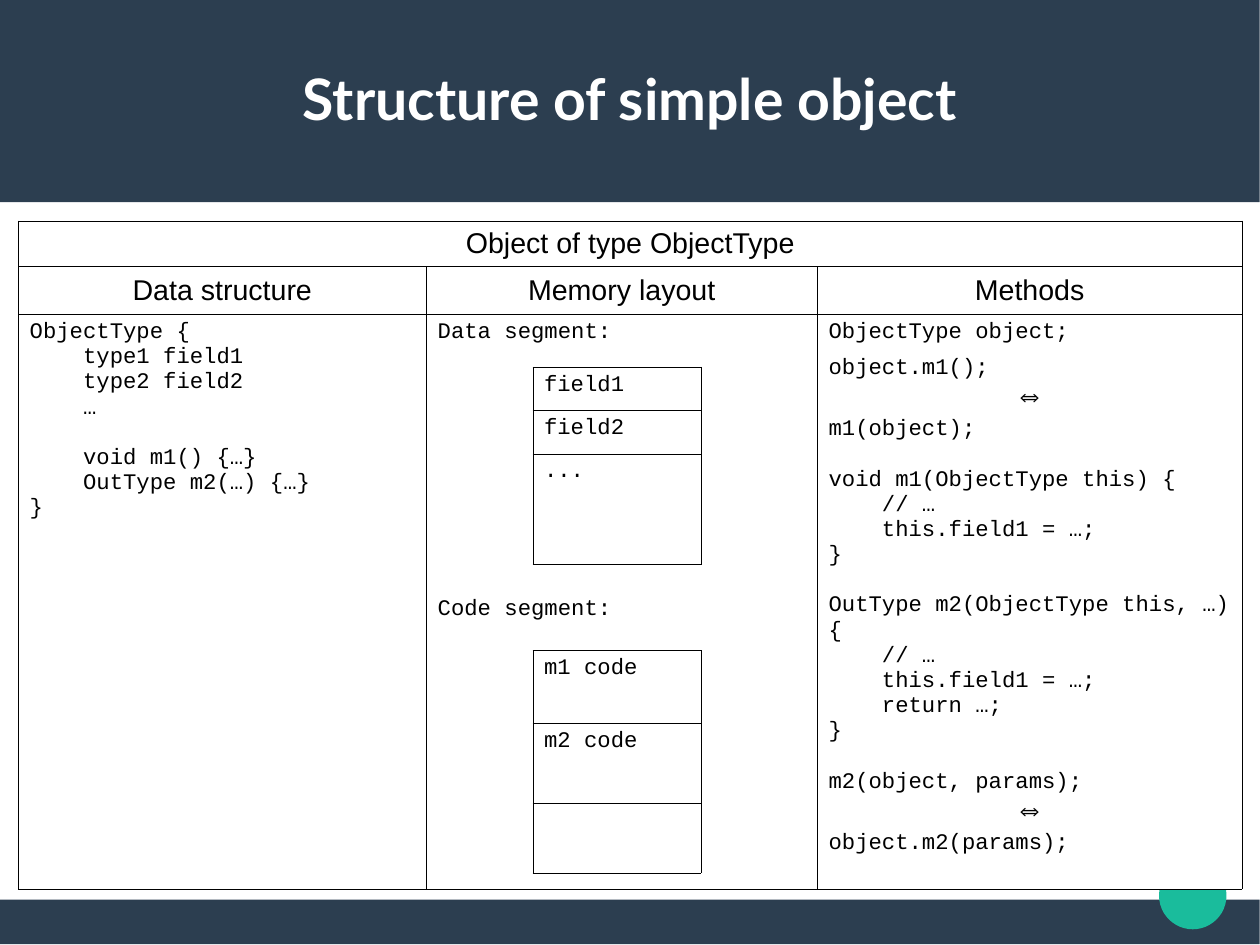
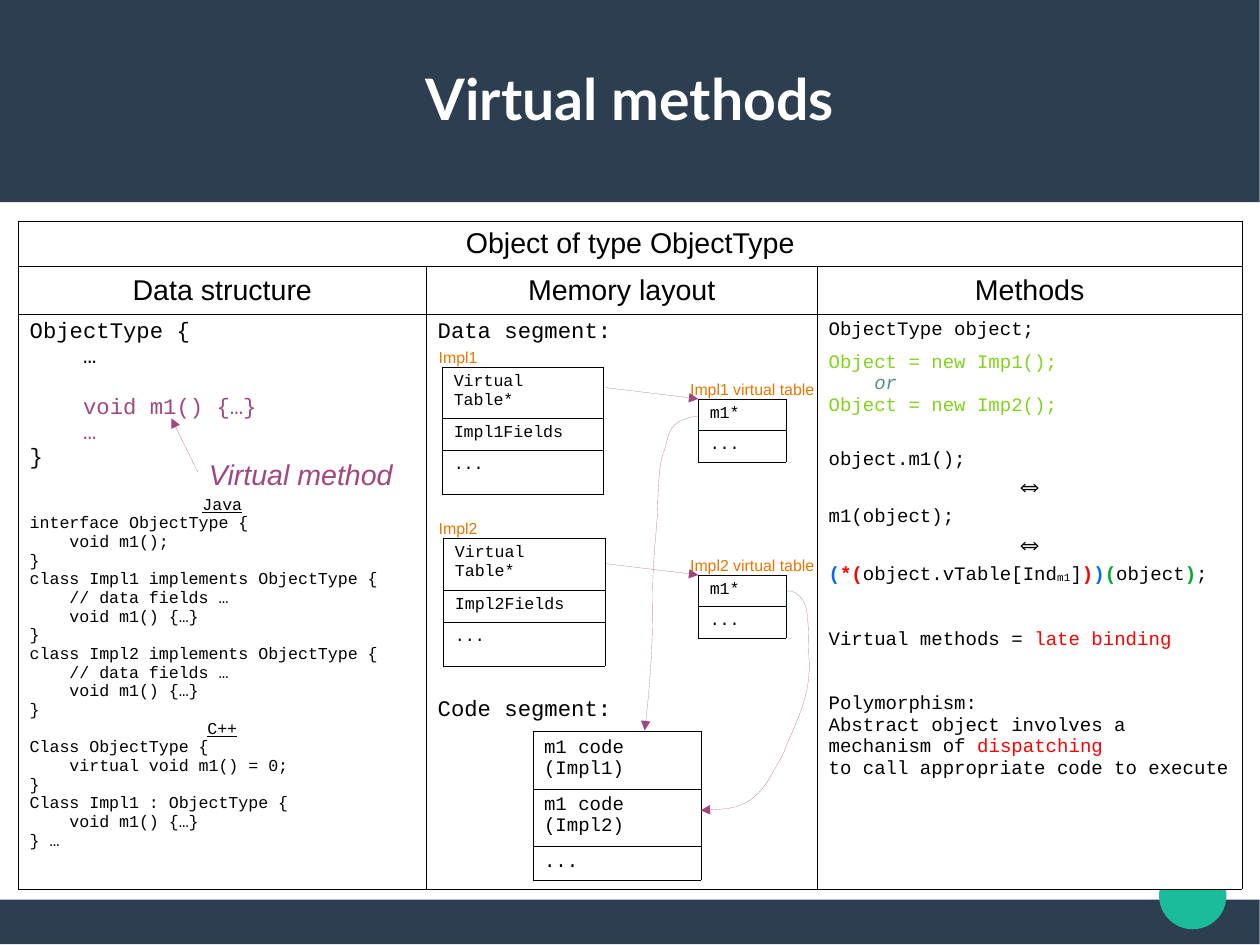
import pptx
import pptx.dml.color
import pptx.enum.shapes
import pptx.enum.text
import pptx.oxml
import pptx.oxml.ns
import pptx.util
from lxml import etree

Inches = pptx.util.Inches
Pt = pptx.util.Pt
SHAPE = pptx.enum.shapes.MSO_SHAPE
ALIGN = pptx.enum.text.PP_ALIGN
ANCHOR = pptx.enum.text.MSO_ANCHOR
qn = pptx.oxml.ns.qn

# Colours and fonts
NAVY, TEAL, WHITE, BLACK = "2C3E50", "1ABC9C", "FFFFFF", "000000"
PLUM, AMBER, LIME, SAGE = "A1467E", "EA7500", "81D41A", "50938A"
RED, BLUE, GREEN = "FF0000", "006AFF", "00A933"
HEAD, SANS, MONO = "Lato", "Arial", "Courier New"


def tint(code):
    return pptx.dml.color.RGBColor.from_string(code)


def write(par, text, size=14, font=MONO, color=BLACK, bold=False,
          italic=False, under=False, base=0):
    """Add one run of formatted text to a paragraph."""
    run = par.add_run()
    run.text = text
    face = run.font
    face.size, face.name, face.bold = Pt(size), font, bold
    face.italic, face.underline = italic, under
    face.color.rgb = tint(color)
    if base:
        run._r.get_or_add_rPr().set("baseline", str(base * 1000))


def fill_text(frame, blocks, center=False, **style):
    """Write blocks: a string (one paragraph a line) or (text or runs, format)."""
    fresh = True
    for block in [blocks] if isinstance(blocks, str) else blocks:
        text, extra = (block, {}) if isinstance(block, str) else block
        form = {"center": center, **style, **extra}
        mid, gap = form.pop("center"), form.pop("gap", 0)
        rows = text.split("\n") if isinstance(text, str) else [text]
        for row in rows:
            par = frame.paragraphs[0] if fresh else frame.add_paragraph()
            par.alignment = ALIGN.CENTER if mid else ALIGN.LEFT
            if gap and not fresh:
                par.space_before = Pt(gap)
            fresh, gap = False, 0
            for part in [(row, {})] if isinstance(row, str) else row:
                write(par, part[0], **{**form, **part[1]})


class Deck:
    def __init__(self):
        self.file = pptx.Presentation()
        # A 4:3 page, 28 by 21 cm
        self.file.slide_width = Inches(28 / 2.54)
        self.file.slide_height = Inches(21 / 2.54)

    def page(self, title):
        self.slide = self.file.slides.add_slide(self.file.slide_layouts[6])
        self.shapes = self.slide.shapes
        self.block(0, 7.87, 11.02, 0.39, NAVY)
        self.block(0, 0, 11.02, 1.77, NAVY)
        self.block(10.14, 7.54, 0.59, 0.59, TEAL, SHAPE.OVAL)
        self.label(0.39, 0.33, 10.24, 1.05, title, inset=0, anchor=ANCHOR.MIDDLE,
                   center=True, size=36, font=HEAD, color=WHITE, bold=True)

    def block(self, x, y, w, h, color, kind=SHAPE.RECTANGLE):
        shape = self.shapes.add_shape(kind, Inches(x), Inches(y), Inches(w), Inches(h))
        shape.shadow.inherit = False
        shape.fill.solid()
        shape.fill.fore_color.rgb = tint(color)
        shape.line.fill.background()

    def label(self, x, y, w, h, text, inset=None, anchor=ANCHOR.TOP, **style):
        box = self.shapes.add_textbox(Inches(x), Inches(y), Inches(w), Inches(h))
        frame = box.text_frame
        frame.word_wrap, frame.vertical_anchor = True, anchor
        if inset is not None:
            frame.margin_left = frame.margin_right = Inches(inset)
            frame.margin_top = frame.margin_bottom = Inches(inset)
        fill_text(frame, text, **style)

    def grid(self, x, y, cols, rows):
        """Add a plain white table with hairline borders."""
        table = self.shapes.add_table(len(rows), len(cols), Inches(x), Inches(y),
                                      Inches(sum(cols)), Inches(sum(rows))).table
        table.first_row = table.horz_banding = False
        for col, w in zip(table.columns, cols):
            col.width = Inches(w)
        for row, h in zip(table.rows, rows):
            row.height = Inches(h)
        for cell in table.iter_cells():
            cell.fill.solid()
            cell.fill.fore_color.rgb = tint(WHITE)
            self.frame(cell)
        return table

    def frame(self, cell):
        props = cell._tc.get_or_add_tcPr()
        for spot, side in enumerate(("a:lnL", "a:lnR", "a:lnT", "a:lnB")):
            edge = etree.Element(qn(side), w=str(Pt(0.06)))
            paint = etree.SubElement(edge, qn("a:solidFill"))
            etree.SubElement(paint, qn("a:srgbClr"), val=BLACK)
            props.insert(spot, edge)

    def stack(self, x, y, w, rows, texts, size=14):
        """Add a one-column table that shows a piece of memory."""
        table = self.grid(x, y, [w], rows)
        for spot, text in enumerate(texts):
            if text:
                fill_text(table.cell(spot, 0).text_frame, text, size=size)

    def chart(self, data, memory, methods):
        """Add the three-column table that both slides share."""
        table = self.grid(0.16, 1.93, [3.57, 3.42, 3.72], [0.4, 0.42, 4.96])
        table.cell(0, 0).merge(table.cell(0, 2))
        # Covered cells must not stretch their row
        for cell in table.iter_cells():
            if cell.is_spanned:
                par = cell.text_frame.paragraphs[0]._p
                etree.SubElement(par, qn("a:endParaRPr"), sz="1000")
        heads = [(0, 0, "Object of type ObjectType"), (1, 0, "Data structure"),
                 (1, 1, "Memory layout"), (1, 2, "Methods")]
        for row, col, text in heads:
            cell = table.cell(row, col)
            cell.vertical_anchor = ANCHOR.MIDDLE
            fill_text(cell.text_frame, text, center=True, size=18, font=SANS)
        for col, blocks in enumerate((data, memory, methods)):
            fill_text(table.cell(2, col).text_frame, blocks)

    def point(self, item):
        """Give a line its colour, hairline width and arrowhead."""
        item.line.color.rgb = tint(PLUM)
        edge = item._element.spPr.find(qn("a:ln"))
        edge.set("w", "0")
        etree.SubElement(edge, qn("a:tailEnd"), type="triangle")

    def arrow(self, x1, y1, x2, y2):
        line = self.shapes.add_connector(pptx.enum.shapes.MSO_CONNECTOR.STRAIGHT,
                                         Inches(x1), Inches(y1), Inches(x2), Inches(y2))
        self.point(line)
        etree.SubElement(line._element.spPr, qn("a:effectLst"))

    def curve(self, start, bends, steps=10):
        """Draw an arrow along cubic bends, each (control, control, end)."""
        dots, here = [], start
        for one, two, end in bends:
            for step in range(1, steps + 1):
                t = step / steps
                u = 1 - t
                dots.append([Inches(u**3 * a + 3 * u * u * t * b + 3 * u * t * t * c + t**3 * d)
                             for a, b, c, d in zip(here, one, two, end)])
            here = end
        pen = self.shapes.build_freeform(Inches(start[0]), Inches(start[1]))
        pen.add_line_segments(dots, close=False)
        shape = pen.convert_to_shape()
        shape.fill.background()
        self.point(shape)
        shape.shadow.inherit = False


SAME = ("⟺", {"size": 20, "center": True})


def simple(deck):
    deck.page("Structure of simple object")
    data = ["ObjectType {\n    type1 field1\n    type2 field2\n    …",
            ("    void m1() {…}\n    OutType m2(…) {…}\n}", {"gap": 15.9})]
    memory = ["Data segment:", ("Code segment:", {"gap": 158.6})]
    methods = [
        "ObjectType object;",
        ("object.m1();", {"gap": 6.8}),
        SAME,
        "m1(object);",
        ("void m1(ObjectType this) {\n    // …\n    this.field1 = …;\n}", {"gap": 15.9}),
        ("OutType m2(ObjectType this, …) {\n    // …\n    this.field1 = …;\n"
         "    return …;\n}", {"gap": 15.9}),
        ("m2(object, params);", {"gap": 15.9}),
        SAME,
        "object.m2(params);"]
    deck.chart(data, memory, methods)
    deck.stack(4.66, 3.21, 1.47, [0.38, 0.38, 0.97], ["field1", "field2", "..."])
    deck.stack(4.66, 5.69, 1.47, [0.64, 0.7, 0.61], ["m1 code", "m2 code", ""])


def virtual(deck):
    deck.page("Virtual methods")
    # Main table
    small = {"size": 10.5}
    name = {"size": 10.5, "under": True, "center": True}
    body = "    // data fields …\n    void m1() {…}\n}"
    data = [
        "ObjectType {\n    …",
        ("    void m1() {…}\n    …", {"color": PLUM, "gap": 15.9}),
        "}",
        ("Java", {**name, "gap": 15.9}),
        ("interface ObjectType {\n    void m1();\n}", small),
        ("class Impl1 implements ObjectType {\n" + body, small),
        ("class Impl2 implements ObjectType {\n" + body, small),
        ("C++", name),
        ("Class ObjectType {\n    virtual void m1() = 0;\n}\n"
         "Class Impl1 : ObjectType {\n    void m1() {…}\n} …", small)]
    memory = ["Data segment:", ("Code segment:", {"gap": 222})]
    text, red = {"size": 12}, {"color": RED}
    lime = {"size": 12, "color": LIME}
    bold = {c: {"color": c, "bold": True} for c in (RED, BLUE, GREEN)}
    call = [("(", bold[BLUE]), ("*(", bold[RED]), ("object.vTable[Ind", {}),
            ("m1", {"base": -8}), ("]", {}), (")", bold[RED]), (")", bold[BLUE]),
            ("(", bold[GREEN]), ("object", {}), (")", bold[GREEN]), (";", {})]
    methods = [
        ("ObjectType object;", text),
        ("Object = new Imp1();", {**lime, "gap": 6.8}),
        ("    or", {"size": 12, "color": SAGE, "italic": True}),
        ("Object = new Imp2();", lime),
        ("object.m1();", {"size": 12, "gap": 20.6}),
        SAME,
        ("m1(object);", text),
        SAME,
        (call, text),
        ([("Virtual methods = ", {}), ("late binding", red)], {"size": 12, "gap": 27.2}),
        ("Polymorphism:", {"size": 12, "gap": 27.2}),
        ([("Abstract object involves a mechanism of ", {}), ("dispatching", red)], text),
        ("to call appropriate code to execute", text)]
    deck.chart(data, memory, methods)

    # Memory of each class, its virtual table and the arrow between them
    for num, x, y, rows, side in ((1, 3.87, 3.21, [0.44, 0.27, 0.39], 3.49),
                                  (2, 3.88, 4.71, [0.45, 0.28, 0.39], 5.03)):
        deck.stack(x, y, 1.41, rows, ["Virtual Table*", f"Impl{num}Fields", "..."], 10.5)
        deck.stack(6.11, side, 0.77, [0.27, 0.27], ["m1*", "..."], 10.5)
        note = {"size": 10, "font": SANS, "color": AMBER}
        deck.label(3.74, y - 0.22, 0.63, 0.31, f"Impl{num}", **note)
        deck.label(5.94, side - 0.22, 1.3, 0.25, f"Impl{num} virtual table", **note)
        deck.arrow(5.29, side - 0.1, 6.11, side)

    # Code segment
    deck.stack(4.66, 6.4, 1.47, [0.5, 0.5, 0.3],
               ["m1 code (Impl1)", "m1 code\n(Impl2)", "..."], 12)
    deck.curve((6.88, 5.17), [((6.97, 5.16), (7.05, 5.25), (7.06, 5.36)),
                              ((7.08, 5.5), (7.07, 5.65), (7.08, 5.79)),
                              ((7.09, 6.05), (7, 6.25), (6.89, 6.5)),
                              ((6.85, 6.62), (6.78, 6.72), (6.72, 6.83)),
                              ((6.65, 6.94), (6.56, 7.02), (6.46, 7.05)),
                              ((6.38, 7.08), (6.29, 7.08), (6.13, 7.09))])
    deck.curve((6.11, 3.64), [((6.03, 3.65), (5.95, 3.67), (5.9, 3.72)),
                              ((5.83, 3.79), (5.84, 3.89), (5.8, 3.97)),
                              ((5.76, 4.1), (5.76, 4.3), (5.75, 4.52)),
                              ((5.74, 4.7), (5.71, 4.9), (5.71, 5.25)),
                              ((5.71, 5.6), (5.7, 5.9), (5.64, 6.39))])

    # Remark on the method
    deck.label(1.73, 3.95, 1.89, 0.38, "Virtual method", size=18, font=SANS,
               color=PLUM, italic=True)
    deck.arrow(1.73, 4.13, 1.5, 3.66)


def main():
    deck = Deck()
    simple(deck)
    virtual(deck)
    deck.file.save("out.pptx")


if __name__ == "__main__":
    main()
